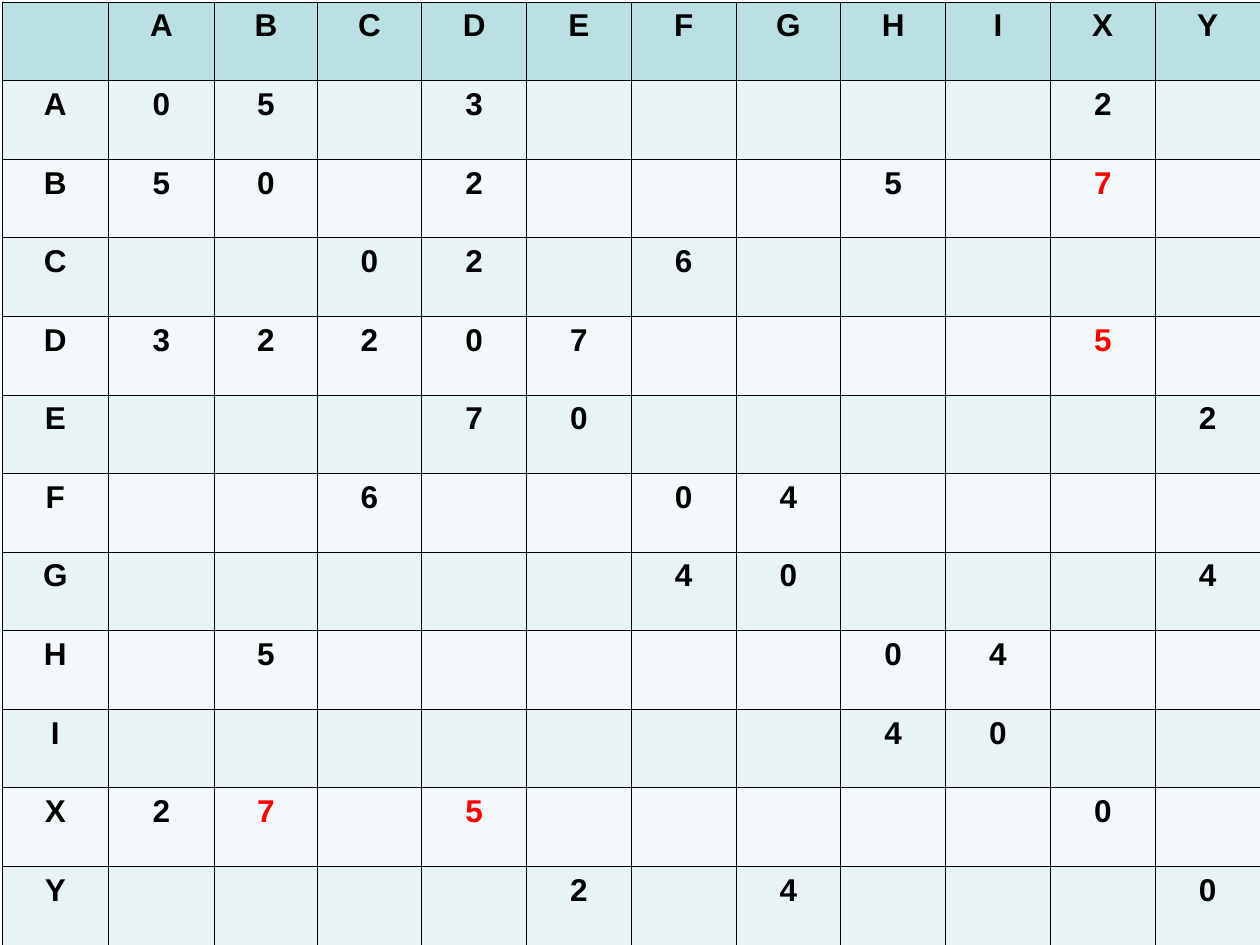
"""Build a slide with the symmetric distance matrix of a weighted graph."""
from dataclasses import dataclass

from lxml import etree
from pptx import Presentation
from pptx import util as u
from pptx.dml import color
from pptx.enum import text
from pptx.oxml import ns

NODES = "ABCDEFGHIXY"
BLACK, RED = "000000", "FF0000"
HEADER, ODD, EVEN = "BBE0E3", "E7F3F4", "F3F9FA"
LEFT, TOP, WIDTH, HEIGHT = 0.05, 0.04, 25.35, 19.01
FIRST_WIDTHS = [2.13, 2.15, 2.06]
BORDER_PT = 0.45


@dataclass
class Edge:
    """Weighted link between two nodes."""
    ends: str
    weight: int
    ink: str = BLACK


EDGES = [
    Edge("AB", 5), Edge("AD", 3), Edge("AX", 2), Edge("BD", 2),
    Edge("BH", 5), Edge("BX", 7, RED), Edge("CD", 2), Edge("CF", 6),
    Edge("DE", 7), Edge("DX", 5, RED), Edge("EY", 2), Edge("FG", 4),
    Edge("GY", 4), Edge("HI", 4),
]


def rgb(value: str) -> color.RGBColor:
    """Turn a hex string into a colour."""
    return color.RGBColor.from_string(value)


def add_borders(cell) -> None:
    """Draw a thin black line on all four sides of a cell."""
    props = cell._tc.get_or_add_tcPr()
    for side in ("lnL", "lnR", "lnT", "lnB"):
        line = etree.SubElement(props, ns.qn(f"a:{side}"), w=str(u.Pt(BORDER_PT)))
        fill = etree.SubElement(line, ns.qn("a:solidFill"))
        etree.SubElement(fill, ns.qn("a:srgbClr"), val=BLACK)


def style_cell(cell, fill: str) -> None:
    """Give a cell its borders and background."""
    add_borders(cell)
    cell.fill.solid()
    cell.fill.fore_color.rgb = rgb(fill)


def write_cell(cell, label: str, ink: str = BLACK) -> None:
    """Write one bold centred label in a cell."""
    p = cell.text_frame.paragraphs[0]
    p.alignment = text.PP_ALIGN.CENTER
    r = p.add_run()
    r.text = label
    r.font.name = "Arial"
    r.font.size = u.Pt(18)
    r.font.bold = True
    r.font.color.rgb = rgb(ink)


def add_matrix(s):
    """Add the empty matrix with its grid and banded rows."""
    size = len(NODES) + 1
    table = s.shapes.add_table(size, size, u.Cm(LEFT), u.Cm(TOP),
                               u.Cm(WIDTH), u.Cm(HEIGHT)).table
    rest = size - len(FIRST_WIDTHS)
    widths = FIRST_WIDTHS + [(WIDTH - sum(FIRST_WIDTHS)) / rest] * rest
    for column, width in zip(table.columns, widths):
        column.width = u.Cm(width)
    for i, row in enumerate(table.rows):
        row.height = u.Cm(HEIGHT / size)
        for cell in row.cells:
            style_cell(cell, HEADER if i == 0 else ODD if i % 2 else EVEN)
    return table


def fill_matrix(table) -> None:
    """Write the node names, the zero diagonal and both halves of the weights."""
    index = {node: i for i, node in enumerate(NODES, 1)}
    for node, i in index.items():
        write_cell(table.cell(0, i), node)
        write_cell(table.cell(i, 0), node)
        write_cell(table.cell(i, i), "0")
    for edge in EDGES:
        a, b = (index[node] for node in edge.ends)
        for row, column in ((a, b), (b, a)):
            write_cell(table.cell(row, column), str(edge.weight), edge.ink)


def main() -> None:
    """Create the presentation and save it."""
    prs = Presentation()
    prs.slide_width, prs.slide_height = u.Cm(25.4), u.Cm(19.05)
    s = prs.slides.add_slide(prs.slide_layouts[6])
    fill_matrix(add_matrix(s))
    prs.save("out.pptx")


if __name__ == "__main__":
    main()
